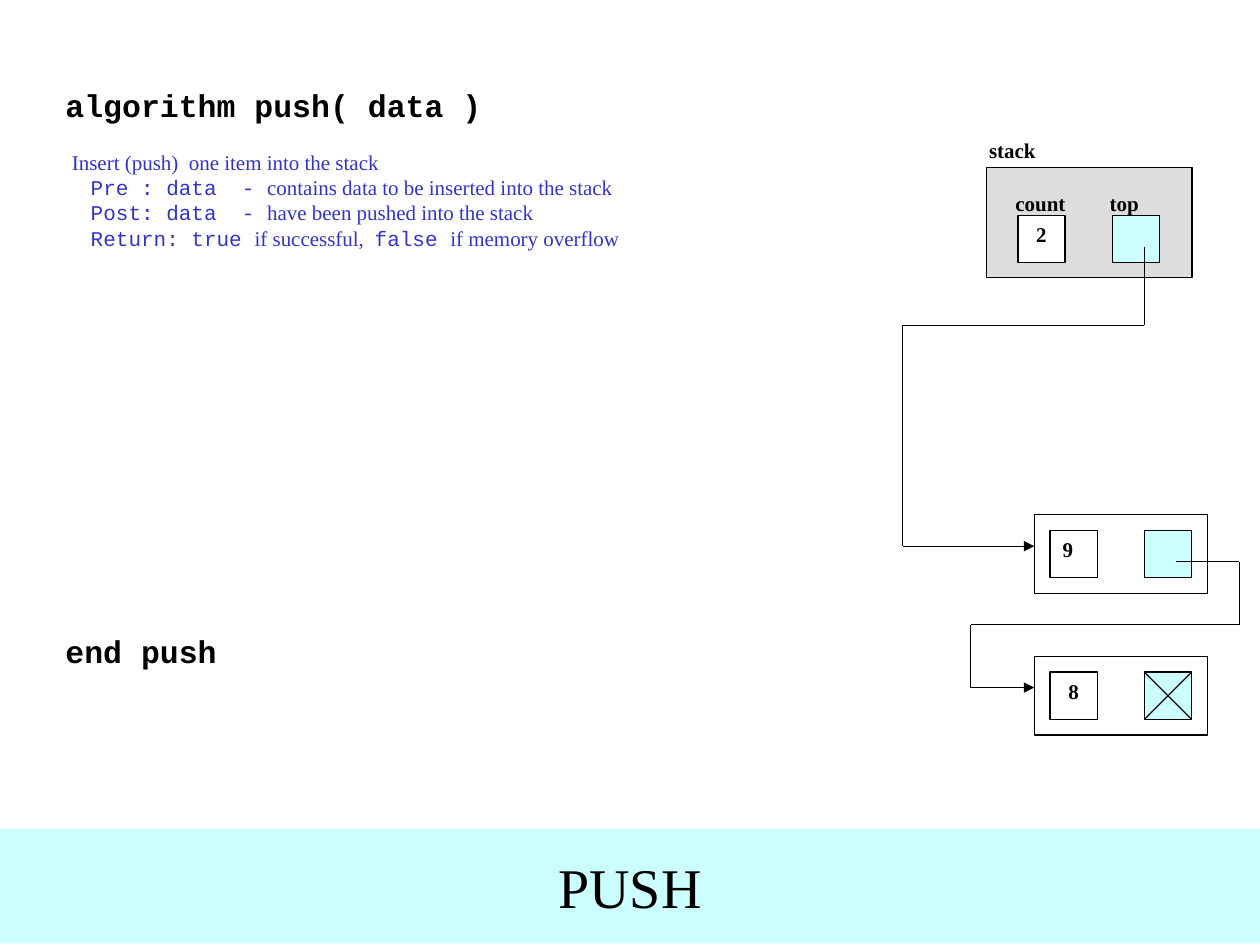
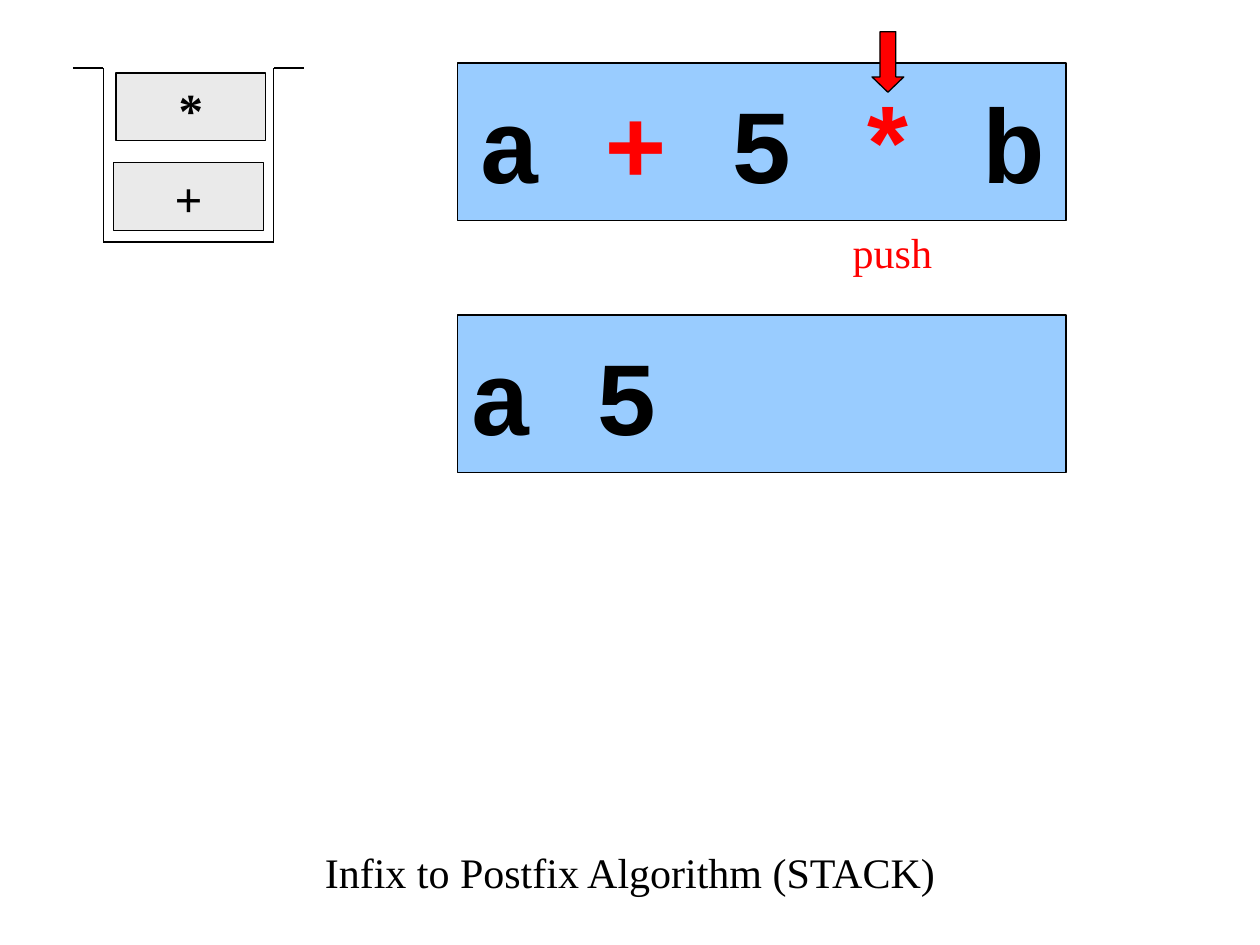
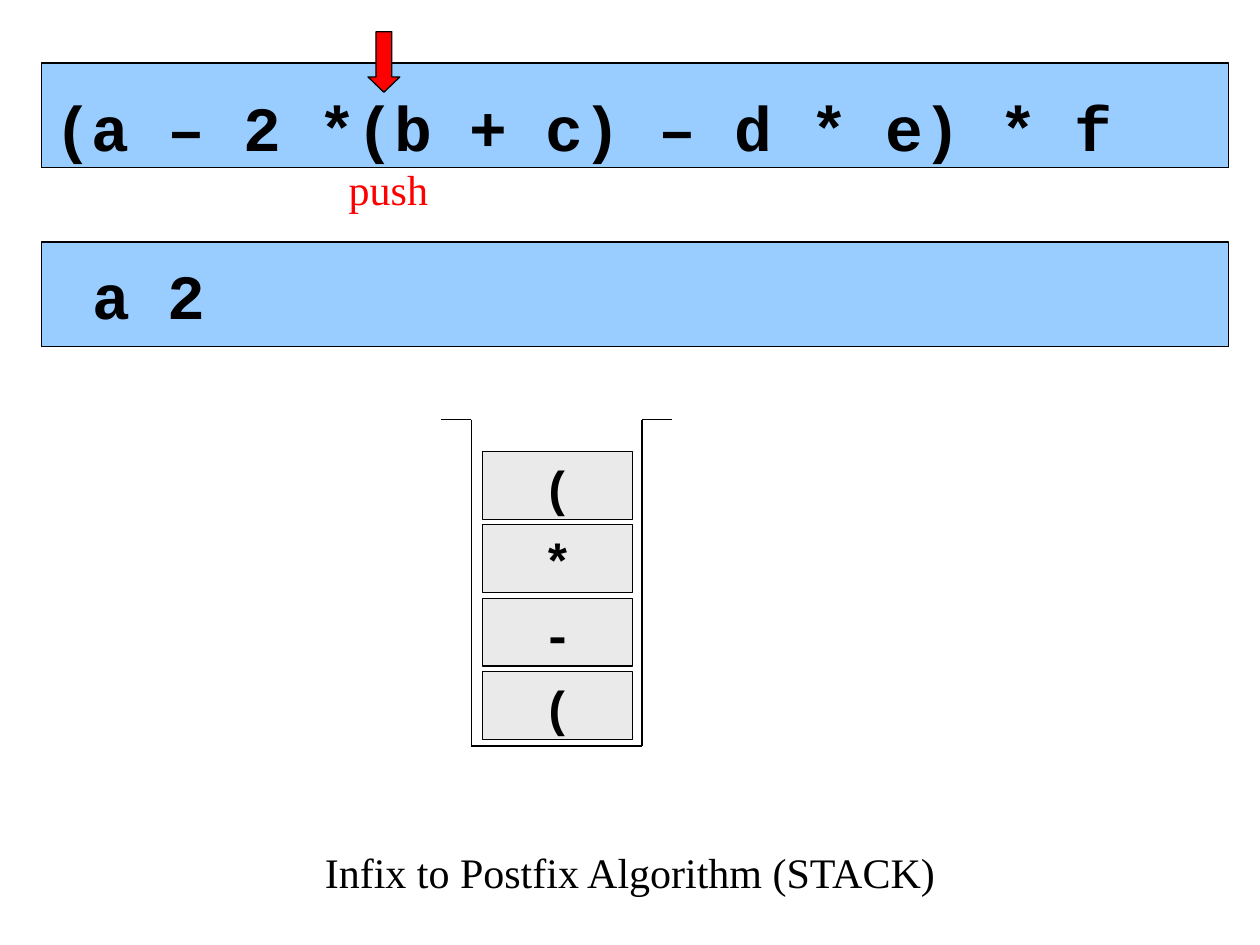
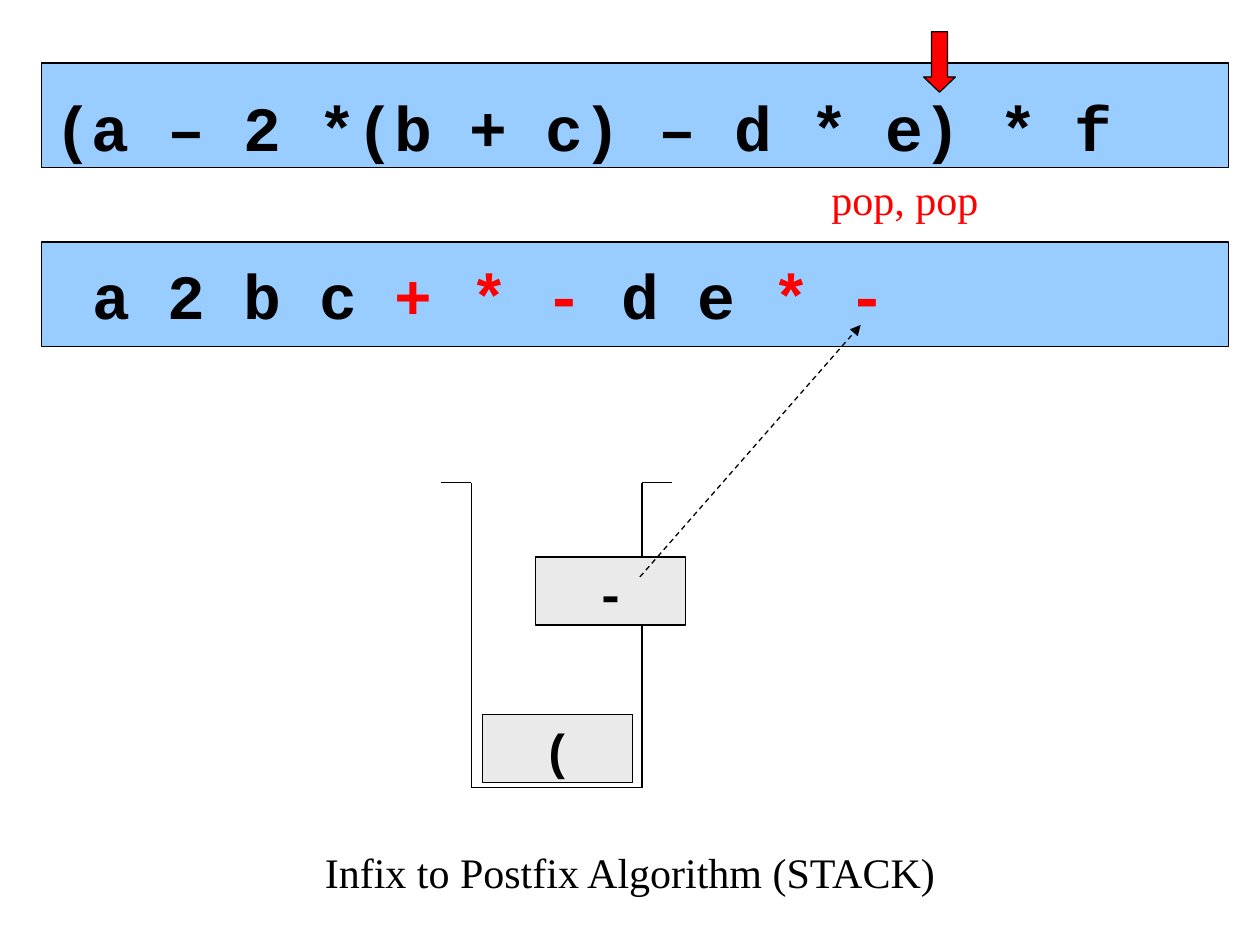
"""Builds four slides on stack push and infix to postfix conversion."""
from itertools import pairwise

from lxml.etree import SubElement
from pptx import Presentation
from pptx.dml.color import RGBColor
from pptx.enum.dml import MSO_LINE
from pptx.enum.shapes import MSO_CONNECTOR, MSO_SHAPE
from pptx.enum.text import MSO_ANCHOR, PP_ALIGN
from pptx.oxml.ns import qn
from pptx.util import Cm, Pt

BLACK = RGBColor(0x00, 0x00, 0x00)
WHITE = RGBColor(0xFF, 0xFF, 0xFF)
RED = RGBColor(0xFF, 0x00, 0x00)
INDIGO = RGBColor(0x33, 0x33, 0xCC)
PALE_CYAN = RGBColor(0xCC, 0xFF, 0xFF)
STACK_GREY = RGBColor(0xDD, 0xDD, 0xDD)
ITEM_GREY = RGBColor(0xEA, 0xEA, 0xEA)
STRIP_BLUE = RGBColor(0x99, 0xCC, 0xFF)
SERIF = "Times New Roman"
MONO = "Courier New"
CELL = 0.95


def dress(shape, fill, outline, runs=(), size=12, face=SERIF, bold=False,
          align=PP_ALIGN.LEFT, anchor=MSO_ANCHOR.TOP):
    """Fill and outline a shape and write its (text, colour) runs."""
    shape.shadow.inherit = False
    if fill is not None:
        shape.fill.solid()
        shape.fill.fore_color.rgb = fill
    if outline:
        shape.line.color.rgb = BLACK
        shape.line.width = Pt(0.75)
    else:
        shape.line.fill.background()
    frame = shape.text_frame
    frame.word_wrap = True
    frame.vertical_anchor = anchor
    paragraph = frame.paragraphs[0]
    paragraph.alignment = align
    paragraph.font.size = Pt(size)
    paragraph.font.name = face
    paragraph.font.bold = bold
    for text, colour in runs:
        run = paragraph.add_run()
        run.text = text
        if len(runs) == 1:
            paragraph.font.color.rgb = colour
        else:
            run.font.color.rgb = colour


def route(slide, points, arrow=False, dashed=False):
    """Draw straight lines through the points, the last with an arrowhead if asked."""
    for (x1, y1), (x2, y2) in pairwise(points):
        segment = slide.shapes.add_connector(
            MSO_CONNECTOR.STRAIGHT, Cm(x1), Cm(y1), Cm(x2), Cm(y2))
        segment.line.color.rgb = BLACK
        segment.line.width = Pt(0.75)
        if dashed:
            segment.line.dash_style = MSO_LINE.DASH
        properties = segment._element.spPr
        if arrow and (x2, y2) == points[-1]:
            SubElement(segment.line._get_or_add_ln(), qn("a:tailEnd"), type="triangle")
        SubElement(properties, qn("a:effectLst"))


deck = Presentation()
deck.slide_width, deck.slide_height = Cm(25.4), Cm(19.05)
title_only = deck.slide_layouts[5]

captions = [("PUSH", 32, 16.71, 2.31, PALE_CYAN)]
captions += [("Infix to Postfix Algorithm (STACK)", 24, 16.08, 2.97, WHITE)] * 3
for caption, size, top, height, band in captions:
    title = deck.slides.add_slide(title_only).shapes.title
    title.left, title.top, title.width, title.height = Cm(0), Cm(top), Cm(25.4), Cm(height)
    dress(title, band, False, [(caption, BLACK)], size,
          align=PP_ALIGN.CENTER, anchor=MSO_ANCHOR.MIDDLE)

push_slide, *postfix_slides = deck.slides

algorithm = push_slide.shapes.add_textbox(Cm(1.07), Cm(1.6), Cm(16.08), Cm(11.9)).text_frame
algorithm.word_wrap = True
algorithm_lines = [
    (0, 0, 18, BLACK, [("algorithm push( data )", MONO)]),
    (0.13, 15, 12, INDIGO, [("Insert (push)  one item into the stack", SERIF)]),
    (0.51, 0, 12, INDIGO, [("Pre : data  - ", MONO),
                           ("contains data to be inserted into the stack", SERIF)]),
    (0.51, 0, 12, INDIGO, [("Post: data  - ", MONO),
                           ("have been pushed into the stack", SERIF)]),
    (0.51, 0, 12, INDIGO, [("Return: true ", MONO), ("if successful,  ", SERIF),
                           ("false ", MONO), ("if memory overflow", SERIF)]),
    (0, 218, 18, BLACK, [("end push", MONO)]),
]
for number, (indent, before, size, colour, runs) in enumerate(algorithm_lines):
    line = algorithm.add_paragraph() if number else algorithm.paragraphs[0]
    line._p.get_or_add_pPr().set("marL", str(Cm(indent)))
    line.space_before = Pt(before)
    line.font.size = Pt(size)
    line.font.bold = size == 18
    line.font.color.rgb = colour
    if len(runs) == 1:
        line.font.name = runs[0][1]
    for text, face in runs:
        run = line.add_run()
        run.text = text
        if len(runs) > 1:
            run.font.name = face

LEFT, CENTER = PP_ALIGN.LEFT, PP_ALIGN.CENTER
diagram = [
    (19.69, 2.64, 1.91, 0.94, WHITE, False, "stack", LEFT),
    (19.89, 3.38, 4.14, 2.21, STACK_GREY, True, "", LEFT),
    (22.12, 3.71, 1.27, 0.94, STACK_GREY, False, "top", LEFT),
    (22.43, 4.34, CELL, CELL, PALE_CYAN, True, "", LEFT),
    (20.22, 3.71, 1.6, 0.94, STACK_GREY, False, "count", LEFT),
    (20.52, 4.34, CELL, CELL, WHITE, True, "2", CENTER),
]
for node_top, value, align in [(10.37, "9", LEFT), (13.23, "8", CENTER)]:
    diagram += [
        (20.85, node_top, 3.5, 1.59, WHITE, True, "", LEFT),
        (21.17, node_top + 0.32, CELL, CELL, WHITE, True, value, align),
        (23.07, node_top + 0.32, CELL, CELL, PALE_CYAN, True, "", LEFT),
    ]
for x, y, width, height, fill, outline, label, align in diagram:
    part = push_slide.shapes.add_shape(
        MSO_SHAPE.RECTANGLE, Cm(x), Cm(y), Cm(width), Cm(height))
    dress(part, fill, outline, [(label, BLACK)] if label else [], bold=True, align=align)

route(push_slide, [(24.02, 13.55), (23.07, 14.5)])
route(push_slide, [(23.07, 13.55), (24.02, 14.5)])
route(push_slide, [(23.71, 11.32), (24.98, 11.32), (24.98, 12.59), (19.57, 12.59),
                   (19.57, 13.86), (20.85, 13.86)], arrow=True)
route(push_slide, [(23.07, 4.97), (23.07, 6.56), (18.2, 6.56),
                   (18.2, 11.01), (20.85, 11.01)], arrow=True)

short_strip = (9.22, 12.27, 3.18, 6.35, 60)
long_strip = (0.84, 23.93, 2.11, 4.88, 36)
long_infix = [("(a – 2 *(b + c) – d * e) * f", BLACK)]
steps = [
    dict(strip=short_strip,
         infix=[("a ", BLACK), ("+", RED), (" 5 ", BLACK), ("*", RED), (" b", BLACK)],
         postfix=[("a 5", BLACK)], pointer=17.58,
         action=("push", 16.94, 4.45, 2.11), well=(1.47, 1.37, 4.88), face=SERIF,
         items=[("*", 2.34, 1.47), ("+", 2.29, 3.28)]),
    dict(strip=long_strip, infix=long_infix, postfix=[("a 2", BLACK)], pointer=7.42,
         action=("push", 6.78, 3.18, 2.11), well=(8.89, 8.46, 15.04), face=MONO,
         items=[(symbol, 9.73, 9.1 + 1.48 * row) for row, symbol in enumerate("(*-(")]),
    dict(strip=long_strip, infix=long_infix,
         postfix=[("a 2 b c ", BLACK), ("+ * -", RED), (" d e ", BLACK), ("* -", RED)],
         pointer=18.62, action=("pop, pop", 16.51, 3.38, 4.01),
         well=(8.89, 9.73, 15.88), face=MONO,
         items=[("(", 9.73, 14.4), ("-", 10.8, 11.23)]),
]
for slide, step in zip(postfix_slides, steps):
    shapes = slide.shapes
    left, width, height, postfix_top, size = step["strip"]
    is_long = step["strip"] == long_strip
    for runs, top in [(step["infix"], 1.27), (step["postfix"], postfix_top)]:
        strip = shapes.add_shape(
            MSO_SHAPE.RECTANGLE, Cm(left), Cm(top), Cm(width), Cm(height))
        is_infix = top == 1.27
        dress(strip, STRIP_BLUE, True, runs, size, MONO, True,
              CENTER if is_infix and not is_long else LEFT, MSO_ANCHOR.MIDDLE)
        if is_long and is_infix:
            strip.text_frame.margin_top, strip.text_frame.margin_bottom = Cm(0.46), Cm(0)
        elif is_long:
            strip.text_frame.margin_left = Cm(1.02)

    pointer = shapes.add_shape(
        MSO_SHAPE.DOWN_ARROW, Cm(step["pointer"]), Cm(0.64), Cm(0.64), Cm(1.22))
    pointer.adjustments[0], pointer.adjustments[1] = 0.5, 0.48
    dress(pointer, RED, True)

    action, x, y, action_width = step["action"]
    note = shapes.add_textbox(Cm(x), Cm(y), Cm(action_width), Cm(1.27))
    dress(note, None, False, [(action, RED)], 24)

    x, rim, floor = step["well"]
    route(slide, [(x, rim), (x + 0.61, rim), (x + 0.61, floor),
                  (x + 4.05, floor), (x + 4.05, rim), (x + 4.66, rim)])
    for symbol, x, y in step["items"]:
        item = shapes.add_shape(MSO_SHAPE.RECTANGLE, Cm(x), Cm(y), Cm(3.02), Cm(1.37))
        dress(item, ITEM_GREY, True, [(symbol, BLACK)], 28, step["face"], True, CENTER)

route(postfix_slides[-1], [(12.9, 11.63), (17.35, 6.55)], arrow=True, dashed=True)

deck.save("out.pptx")
